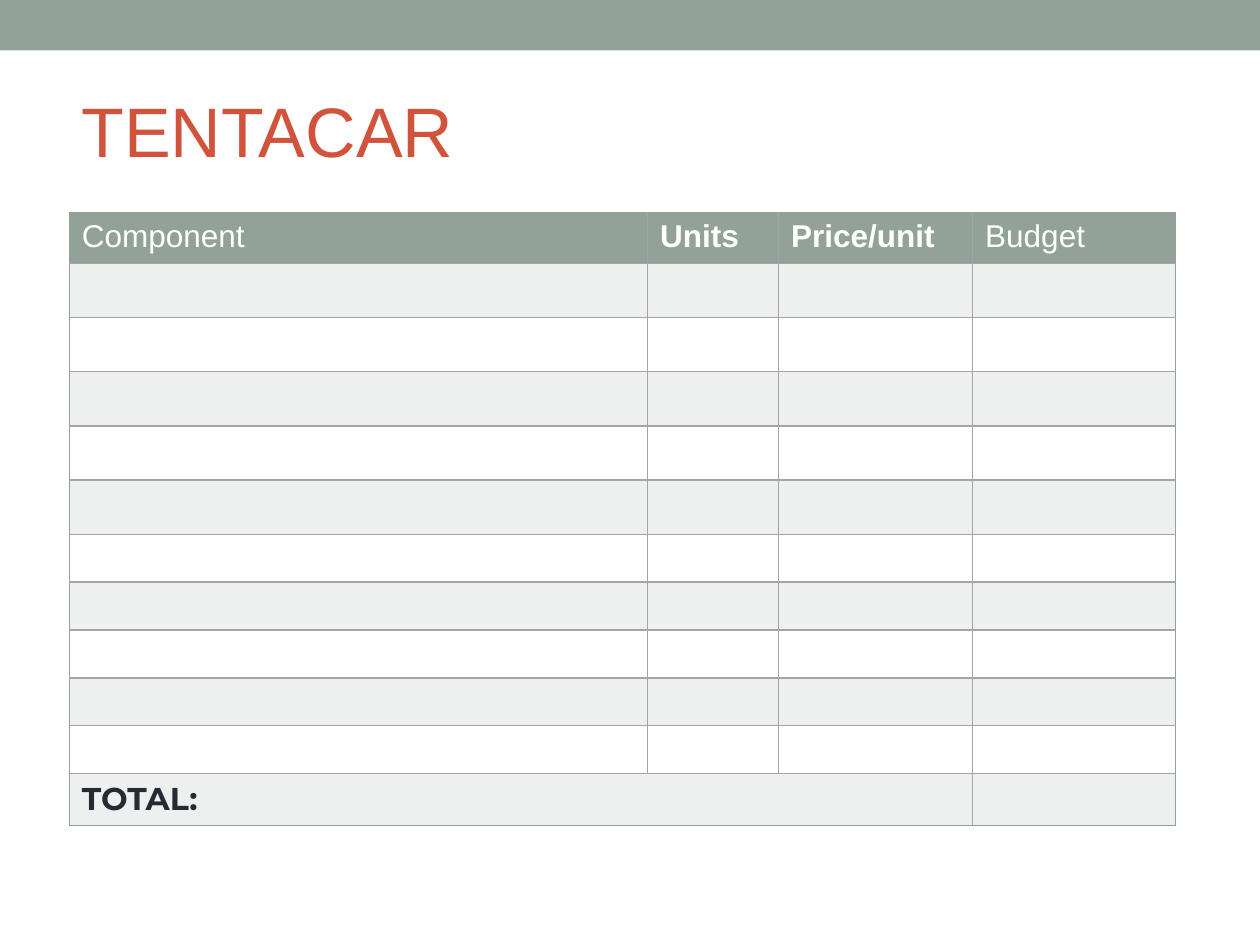
import pptx
import pptx.util
import pptx.dml.color
import pptx.enum.shapes
import pptx.enum.text
import pptx.oxml
import pptx.oxml.ns
from dataclasses import dataclass

Inches = pptx.util.Inches
Pt = pptx.util.Pt


@dataclass(frozen=True)
class Theme:
    sage: str = "93A299"
    red: str = "D2533C"
    ink: str = "292934"
    white: str = "FFFFFF"
    pale: str = "EEF0EF"
    rule: str = "A5A5A5"
    sans: str = "Arial"
    heavy: str = "Montserrat"
    title: int = 40
    body: int = 18


class Deck:
    def __init__(self, theme):
        self.theme = theme
        self.file = pptx.Presentation()
        self.file.slide_width = Inches(10)
        self.file.slide_height = Inches(7.5)
        self.slide = self.file.slides.add_slide(self.file.slide_layouts[6])

    def paint(self, fill, color):
        fill.solid()
        fill.fore_color.rgb = pptx.dml.color.RGBColor.from_string(color)

    def label(self, frame, text, size, color, face, bold=False):
        frame.text = text
        font = frame.paragraphs[0].font
        font.name, font.size, font.bold = face, Pt(size), bold
        font.color.rgb = pptx.dml.color.RGBColor.from_string(color)

    def band(self, left, top, width, height):
        kind = pptx.enum.shapes.MSO_SHAPE.RECTANGLE
        bar = self.slide.shapes.add_shape(
            kind, Inches(left), Inches(top), Inches(width), Inches(height))
        bar.shadow.inherit = False
        bar.line.fill.background()
        self.paint(bar.fill, self.theme.sage)

    def title(self, text, left, top, width, height):
        box = self.slide.shapes.add_textbox(
            Inches(left), Inches(top), Inches(width), Inches(height))
        frame = box.text_frame
        frame.word_wrap = True
        frame.vertical_anchor = pptx.enum.text.MSO_ANCHOR.MIDDLE
        self.label(frame, text, self.theme.title, self.theme.red, self.theme.sans)

    def edge(self, cell, colors):
        props = cell._tc.get_or_add_tcPr()
        space = pptx.oxml.ns.nsdecls("a")
        for side, color in zip("LRTB", colors):
            props.append(pptx.oxml.parse_xml(
                f'<a:ln{side} {space} w="12700"><a:solidFill>'
                f'<a:srgbClr val="{color}"/></a:solidFill></a:ln{side}>'))

    def table(self, left, top, widths, heights, heads, total):
        theme = self.theme
        rows, cols = len(heights), len(widths)
        grid = self.slide.shapes.add_table(
            rows, cols, Inches(left), Inches(top),
            Inches(sum(widths)), Inches(sum(heights))).table
        for col, width in zip(grid.columns, widths):
            col.width = Inches(width)
        for row, height in zip(grid.rows, heights):
            row.height = Inches(height)
        for r in range(rows):
            fill = theme.sage if r == 0 else theme.pale if r % 2 else theme.white
            for c in range(cols):
                cell = grid.cell(r, c)
                outer = (c == 0, c == cols - 1, r == 0, r == rows - 1)
                self.edge(cell, [theme.sage if o else theme.rule for o in outer])
                self.paint(cell.fill, fill)
                cell.margin_top = cell.margin_bottom = Inches(0.05 if r == 0 else 0)
        for c, (text, bold) in enumerate(heads):
            self.label(grid.cell(0, c).text_frame, text,
                       theme.body, theme.white, theme.sans, bold)
        last = grid.cell(rows - 1, 0)
        last.merge(grid.cell(rows - 1, cols - 2))
        last.margin_top = last.margin_bottom = Inches(0.05)
        self.label(last.text_frame, total, theme.body, theme.ink, theme.heavy, True)


def main():
    deck = Deck(Theme())
    deck.band(0, 0, 10, 0.4)
    deck.title("TENTACAR", 0.55, 0.49, 9, 1.08)
    deck.table(
        0.55, 1.69, [4.59, 1.04, 1.54, 1.61],
        [0.39] + [0.43] * 5 + [0.38] * 5 + [0.41],
        [("Component", False), ("Units", True), ("Price/unit", True), ("Budget", False)],
        "TOTAL:")
    deck.file.save("out.pptx")


if __name__ == "__main__":
    main()
